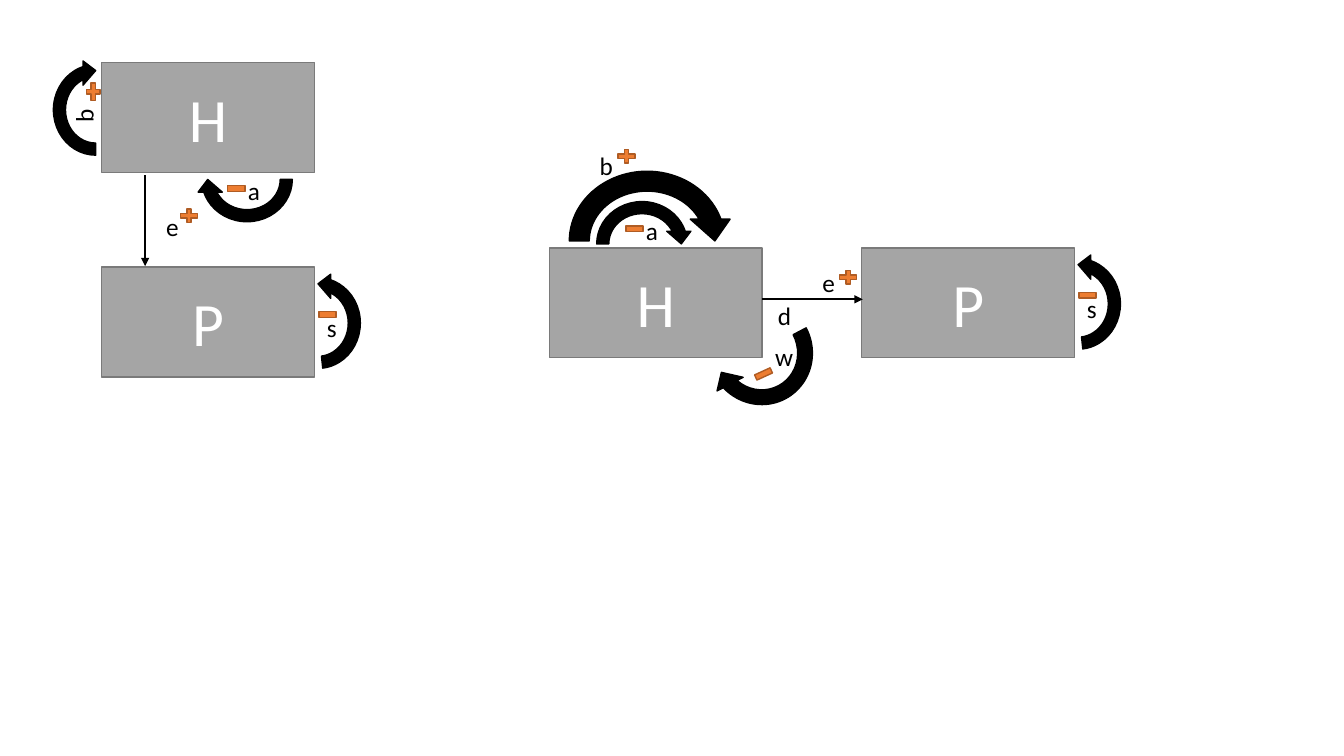
from dataclasses import dataclass

from lxml import etree
from pptx import Presentation
from pptx.dml.color import RGBColor
from pptx.enum.shapes import MSO_CONNECTOR, MSO_SHAPE
from pptx.enum.text import MSO_ANCHOR, MSO_AUTO_SIZE, PP_ALIGN
from pptx.oxml.ns import qn
from pptx.util import Pt

RECT = MSO_SHAPE.RECTANGLE
LOOP = MSO_SHAPE.CIRCULAR_ARROW
PLUS = MSO_SHAPE.MATH_PLUS
MINUS = MSO_SHAPE.MATH_MINUS
LINE = MSO_CONNECTOR.STRAIGHT
CENTER = PP_ALIGN.CENTER
MIDDLE = MSO_ANCHOR.MIDDLE
GROW = MSO_AUTO_SIZE.SHAPE_TO_FIT_TEXT

FONT = "Calibri"
BLACK, WHITE = "000000", "FFFFFF"
GRAY, EDGE = "A5A5A5", "7A7A7A"
ORANGE, RUST = "ED7D31", "AF5C24"
BOX_W, BOX_H = 152, 78.5
LOOP_W, LOOP_H = 73.4, 69.1
SIGN_W = 16.6
SIGN_H = {PLUS: 13, MINUS: 17.3}
TEXT_H = 28.8


@dataclass
class Box:
    name: str
    x: float
    y: float


@dataclass
class Loop:
    x: float
    y: float
    turn: float = 0
    w: float = LOOP_W
    h: float = LOOP_H
    flip: bool = False


@dataclass
class Label:
    text: str
    x: float
    y: float
    w: float
    turn: float = 0
    wrap: bool = False


@dataclass
class Sign:
    kind: MSO_SHAPE
    x: float
    y: float
    turn: float = 0


@dataclass
class Flow:
    x1: float
    y1: float
    x2: float
    y2: float


def color(code: str) -> RGBColor:
    return RGBColor.from_string(code)


def add_solid(shapes, kind, x, y, w, h, fill: str, edge: str, turn: float = 0):
    shape = shapes.add_shape(kind, Pt(x), Pt(y), Pt(w), Pt(h))
    shape.shadow.inherit = False
    shape.fill.solid()
    shape.fill.fore_color.rgb = color(fill)
    shape.line.color.rgb = color(edge)
    shape.line.width = Pt(1)
    shape.rotation = turn
    return shape


def set_text(frame, text: str, size: float, code: str) -> None:
    frame.text = text
    font = frame.paragraphs[0].runs[0].font
    font.name, font.size = FONT, Pt(size)
    font.color.rgb = color(code)


def draw_box(shapes, box: Box) -> None:
    shape = add_solid(shapes, RECT, box.x, box.y, BOX_W, BOX_H, GRAY, EDGE)
    frame = shape.text_frame
    set_text(frame, box.name, 44, WHITE)
    frame.vertical_anchor = MIDDLE
    frame.paragraphs[0].alignment = CENTER


def draw_loop(shapes, loop: Loop) -> None:
    shape = add_solid(shapes, LOOP, loop.x, loop.y, loop.w, loop.h,
                      BLACK, BLACK, loop.turn)
    if loop.flip:
        shape._element.spPr.find(qn("a:xfrm")).set("flipH", "1")
        shape.adjustments[3] = 111.566


def draw_label(shapes, label: Label) -> None:
    shape = shapes.add_textbox(Pt(label.x), Pt(label.y), Pt(label.w), Pt(TEXT_H))
    shape.rotation = label.turn
    frame = shape.text_frame
    frame.word_wrap = label.wrap
    frame.auto_size = GROW
    set_text(frame, label.text, 18, BLACK)


def draw_sign(shapes, sign: Sign) -> None:
    add_solid(shapes, sign.kind, sign.x, sign.y, SIGN_W, SIGN_H[sign.kind],
              ORANGE, RUST, sign.turn)


def draw_flow(shapes, flow: Flow) -> None:
    line = shapes.add_connector(LINE, Pt(flow.x1), Pt(flow.y1),
                                Pt(flow.x2), Pt(flow.y2))
    line.line.color.rgb = color(BLACK)
    line.line.width = Pt(1.25)
    etree.SubElement(line.line._get_or_add_ln(), qn("a:tailEnd"), type="triangle")
    etree.SubElement(line._element.spPr, qn("a:effectLst"))


DRAW = {Box: draw_box, Loop: draw_loop, Label: draw_label,
        Sign: draw_sign, Flow: draw_flow}


def p_box(x: float, y: float) -> list:
    """Box P with its loss loop s."""
    return [Box("P", x, y),
            Loop(x + 117.8, y + 5.4, 90, flip=True),
            Label("s", x + 153.7, y + 28.8, 21.6),
            Sign(MINUS, x + 153, y + 25.2)]


def a_mark(x: float, y: float) -> list:
    """Label a with its minus sign."""
    return [Label("a", x, y, 23), Sign(MINUS, x - 9.4, y + 4.3)]


# Stacked model on the left
LEFT = [
    Box("H", 72.7, 44.6),
    *p_box(72.7, 190.8),
    Loop(31.7, 43.9, 270),
    Label("b", 47.5, 67.7, 24.5, 270),
    Sign(PLUS, 58.3, 59, 270),
    Loop(139.7, 93.6, 180),
    *a_mark(169.9, 121.7),
    Flow(103.7, 125.3, 103.7, 190.1),
    Label("e", 111.6, 147.6, 23.8, wrap=True),
    Sign(PLUS, 126.7, 147.6),
]

# Side-by-side model on the right
RIGHT = [
    Box("H", 392.4, 177.1),
    *p_box(615.6, 177.1),
    Loop(399.6, 115.2, w=125.3, h=113.8),
    Label("b", 421.2, 103.7, 24.5),
    Sign(PLUS, 439.2, 105.1),
    Loop(421.9, 139.7),
    *a_mark(454.3, 150.5),
    Loop(501.1, 208.1, 152.3, 84.2, 86.4),
    Label("w", 546.5, 240.5, 29.5, wrap=True),
    Sign(MINUS, 537.1, 258.5, 335.5),
    Flow(544.3, 213.8, 616.3, 213.8),
    Label("d", 548.6, 211, 23.8, wrap=True),
    Label("e", 580.3, 187.2, 23.8, wrap=True),
    Sign(PLUS, 597.6, 191.5),
]


def draw(shapes, items: list) -> None:
    for item in items:
        DRAW[type(item)](shapes, item)


def main() -> None:
    deck = Presentation()
    deck.slide_width, deck.slide_height = Pt(960), Pt(540)
    slide = deck.slides.add_slide(deck.slide_layouts[6])
    draw(slide.shapes, LEFT)
    draw(slide.shapes.add_group_shape().shapes, RIGHT)
    deck.save("out.pptx")


if __name__ == "__main__":
    main()
